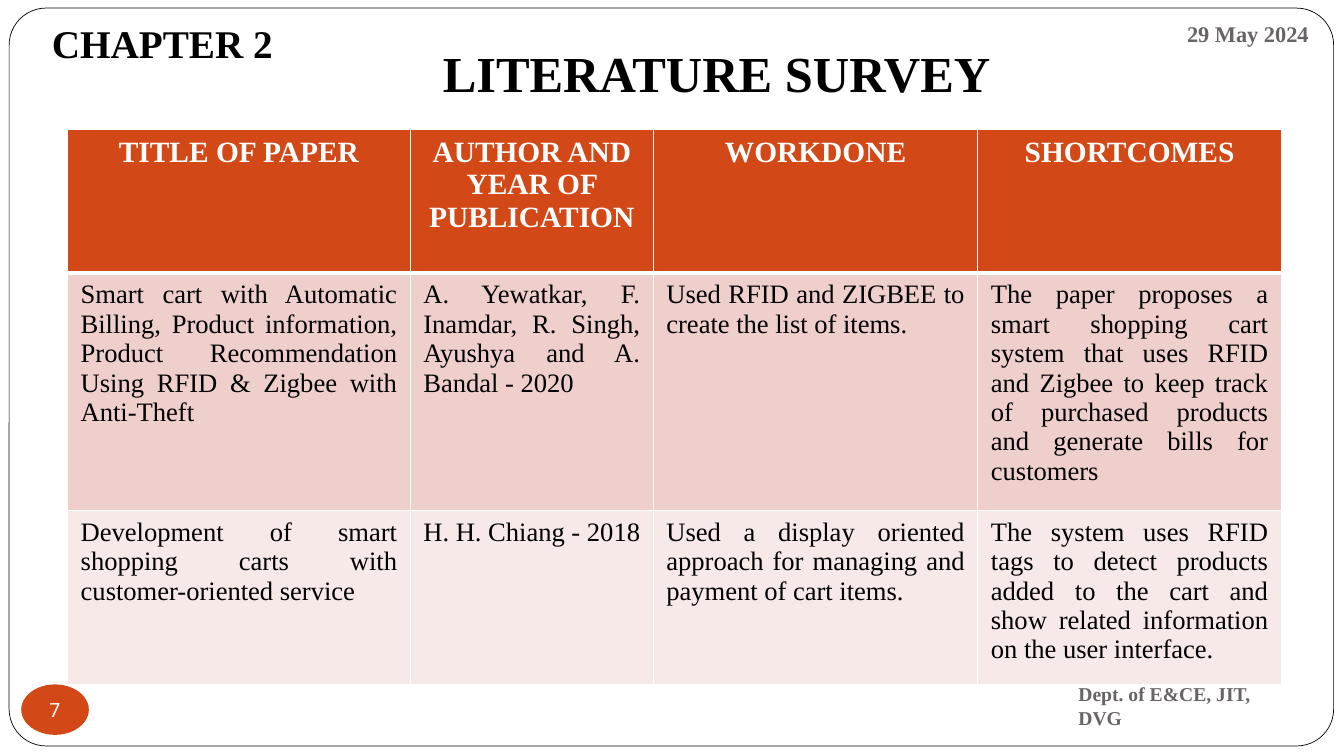
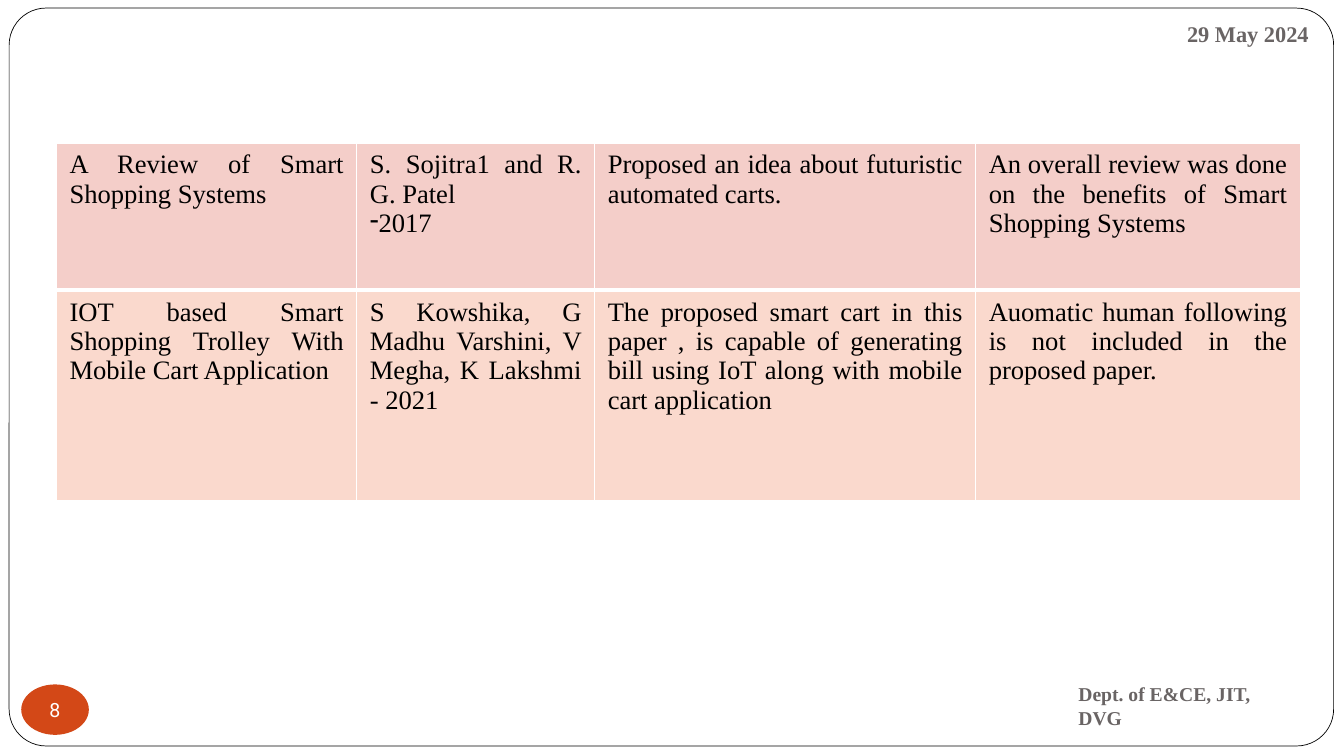
from pptx import Presentation
from pptx.dml.color import RGBColor
from pptx.enum.shapes import MSO_SHAPE
from pptx.enum.text import MSO_ANCHOR, PP_ALIGN
from pptx.oxml.ns import qn
from pptx.util import Inches, Pt
from lxml.etree import SubElement

BLACK = RGBColor(0x00, 0x00, 0x00)
WHITE = RGBColor(0xFF, 0xFF, 0xFF)
GRAY = RGBColor(0x69, 0x64, 0x64)
ORANGE = RGBColor(0xD3, 0x48, 0x17)
ROSE = RGBColor(0xEF, 0xCF, 0xCC)
BLUSH = RGBColor(0xF7, 0xE9, 0xE8)
PINK = RGBColor(0xF4, 0xCE, 0xC9)
PEACH = RGBColor(0xFA, 0xD9, 0xCD)
SERIF = "Times New Roman"

prs = Presentation()
prs.slide_width = Inches(13.33)
prs.slide_height = Inches(7.5)
COL = prs.slide_width / 100
ROW = prs.slide_height / 100


def area(x, y, w, h):
    return int(x * COL), int(y * ROW), int(w * COL), int(h * ROW)


def write(tf, text, size, color, bold=False, align=PP_ALIGN.LEFT, font=SERIF):
    for i, line in enumerate(text.split("\n")):
        p = tf.add_paragraph() if i else tf.paragraphs[0]
        p.alignment = align
        if line.startswith("-"):
            pPr = p._p.get_or_add_pPr()
            SubElement(pPr, qn("a:buChar")).set("char", "-")
            line = line[1:]
        r = p.add_run()
        r.text = line
        r.font.size = Pt(size)
        r.font.name = font
        r.font.bold = bold
        r.font.color.rgb = color


slides = [
    {
        "number": "7",
        "titles": [
            ("LITERATURE SURVEY", 36, (23.33, 4.67, 60, 13.33)),
            ("CHAPTER 2", 28, (0, 1.6, 24.15, 8.93)),
        ],
        "corner": (5.03, 17.07),
        "cols": [25.5, 18.08, 24.15, 22.58],
        "rows": [19.07, 29.33, 21.47],
        "fills": [ORANGE, ROSE, BLUSH],
        "cells": [
            ["TITLE OF PAPER", "AUTHOR AND YEAR OF PUBLICATION", "WORKDONE", "SHORTCOMES"],
            [
                "Smart cart with Automatic Billing, Product information, Product Recommendation Using RFID & Zigbee with Anti-Theft",
                "A. Yewatkar, F. Inamdar, R. Singh, Ayushya and A. Bandal - 2020",
                "Used RFID and ZIGBEE to create the list of items.",
                "The paper proposes a smart shopping cart system that uses RFID and Zigbee to keep track of purchased products and generate bills for customers",
            ],
            [
                "Development of smart shopping carts with customer-oriented service",
                "H. H. Chiang - 2018",
                "Used a display oriented approach for managing and payment of cart items.",
                "The system uses RFID tags to detect products added to the cart and show related information on the user interface.",
            ],
        ],
    },
    {
        "number": "8",
        "titles": [],
        "corner": (4.2, 18.93),
        "cols": [22.35, 17.7, 28.35, 24.15],
        "rows": [19.47, 27.87],
        "fills": [PINK, PEACH],
        "cells": [
            [
                "A Review of Smart Shopping Systems",
                "S. Sojitra1 and R. G. Patel\n-2017",
                "Proposed an idea about futuristic automated carts.",
                "An overall review was done on the benefits of Smart Shopping Systems",
            ],
            [
                "IOT based Smart Shopping Trolley With Mobile Cart Application",
                "S Kowshika, G Madhu Varshini, V Megha, K Lakshmi - 2021",
                "The proposed smart cart in this paper , is capable of generating bill using IoT along with mobile cart application",
                "Auomatic human following is not included in the proposed paper.",
            ],
        ],
    },
]
margins = [
    ("29 May 2024", 16, PP_ALIGN.RIGHT, (71.03, 0.93, 27.08, 6.93)),
    ("Dept. of E&CE, JIT, DVG", 14, PP_ALIGN.LEFT, (79.5, 90, 17.03, 6.67)),
]

for page in slides:
    s = prs.slides.add_slide(prs.slide_layouts[6])

    frame = s.shapes.add_shape(MSO_SHAPE.ROUNDED_RECTANGLE, *area(0.68, 1.07, 98.55, 97.6))
    frame.adjustments[0] = 0.05
    frame.shadow.inherit = False
    frame.fill.solid()
    frame.fill.fore_color.rgb = WHITE
    frame.line.color.rgb = BLACK
    frame.line.width = Pt(0.5)

    for text, size, place in page["titles"]:
        tf = s.shapes.add_textbox(*area(*place)).text_frame
        tf.word_wrap = True
        tf.margin_left = tf.margin_right = Inches(0.13)
        tf.margin_top = tf.margin_bottom = Inches(0.07)
        write(tf, text, size, BLACK, True, PP_ALIGN.CENTER)

    cols, rows = page["cols"], page["rows"]
    place = area(*page["corner"], sum(cols), sum(rows))
    table = s.shapes.add_table(len(rows), len(cols), *place).table
    for j, width in enumerate(cols):
        table.columns[j].width = int(width * COL)
    for i, height in enumerate(rows):
        table.rows[i].height = int(height * ROW)
        header = page["fills"][i] == ORANGE
        for j, text in enumerate(page["cells"][i]):
            cell = table.cell(i, j)
            cell.margin_left = cell.margin_right = Inches(0.13)
            cell.margin_top = cell.margin_bottom = Inches(0.07)
            tcPr = cell._tc.get_or_add_tcPr()
            for side in "LRTB":
                thick = (i, side) in [(0, "B"), (1, "T")]
                ln = SubElement(tcPr, qn("a:ln" + side))
                ln.set("w", str(Pt(3 if thick else 1)))
                fill = SubElement(ln, qn("a:solidFill"))
                SubElement(fill, qn("a:srgbClr")).set("val", str(WHITE))
            cell.fill.solid()
            cell.fill.fore_color.rgb = page["fills"][i]
            if header:
                write(cell.text_frame, text, 21, WHITE, True, PP_ALIGN.CENTER)
            else:
                write(cell.text_frame, text, 19, BLACK, False, PP_ALIGN.JUSTIFY)

    badge = s.shapes.add_shape(MSO_SHAPE.OVAL, *area(1.58, 90.53, 5.03, 6.67))
    badge.shadow.inherit = False
    badge.fill.solid()
    badge.fill.fore_color.rgb = ORANGE
    badge.line.fill.background()
    tf = badge.text_frame
    tf.word_wrap = False
    tf.vertical_anchor = MSO_ANCHOR.MIDDLE
    tf.margin_left = tf.margin_right = tf.margin_top = tf.margin_bottom = 0
    write(tf, page["number"], 14, WHITE, False, PP_ALIGN.CENTER, "Roboto")

    for text, size, align, place in margins:
        tf = s.shapes.add_textbox(*area(*place)).text_frame
        tf.word_wrap = True
        tf.vertical_anchor = MSO_ANCHOR.MIDDLE
        write(tf, text, size, GRAY, True, align)

prs.save("out.pptx")
